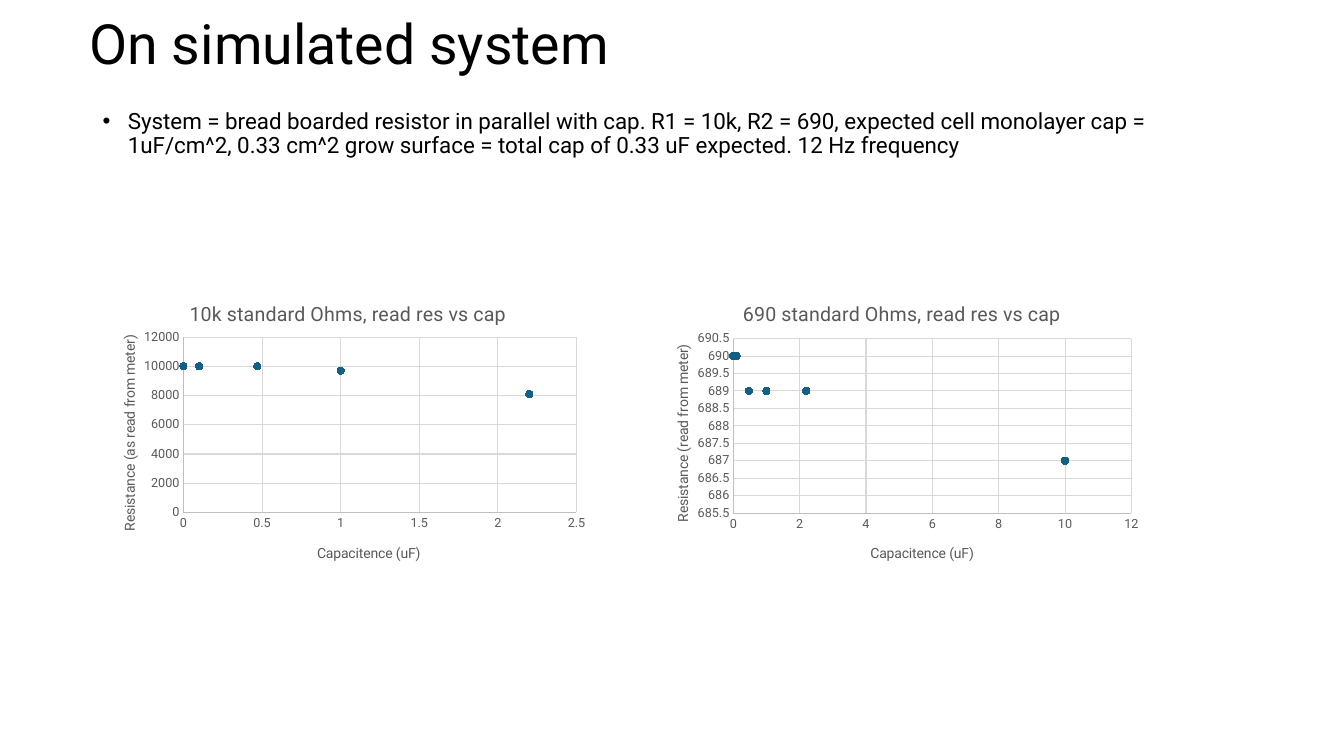
from lxml import etree
from pptx import Presentation
from pptx import util as u
from pptx.chart import data as chart_data
from pptx.dml import color
from pptx.enum import chart as ch, text
from pptx.oxml import ns

Pt = u.Pt
FONT = "Roboto"
BLACK, GRAY, AXIS, GRID, POINT = "000000", "595959", "BFBFBF", "D9D9D9", "156082"


def rgb(value):
    return color.RGBColor.from_string(value)


def style_font(font, size, value):
    font.name, font.size, font.bold = FONT, Pt(size), False
    font.color.rgb = rgb(value)


def style_line(line, value):
    line.width = Pt(0.75)
    line.color.rgb = rgb(value)


def add_text(slide, words, box, size, anchor):
    frame = slide.shapes.add_textbox(*map(Pt, box)).text_frame
    frame.word_wrap = True
    frame.vertical_anchor = anchor
    paragraph = frame.paragraphs[0]
    paragraph.text = words
    paragraph.line_spacing = 0.9
    style_font(paragraph.font, size, BLACK)
    return paragraph


def add_bullet(paragraph):
    paragraph.space_before = Pt(10)
    properties = paragraph._p.get_or_add_pPr()
    properties.set("marL", str(Pt(18)))
    properties.set("indent", str(-Pt(18)))
    bullet_font = etree.Element(ns.qn("a:buFont"), typeface="Arial")
    bullet = etree.Element(ns.qn("a:buChar"), char="•")
    properties.insert_element_before(bullet_font, "a:tabLst", "a:defRPr", "a:extLst")
    bullet_font.addnext(bullet)


def place(element, index, inner=False, **fractions):
    """Fix a chart part at fractions of the chart's size."""
    for old in element.findall(ns.qn("c:layout")):
        element.remove(old)
    layout = etree.Element(ns.qn("c:layout"))
    manual = etree.SubElement(layout, ns.qn("c:manualLayout"))
    settings = {"layoutTarget": "inner"} if inner else {}
    settings |= {"xMode": "edge", "yMode": "edge"} | fractions
    for name, value in settings.items():
        etree.SubElement(manual, ns.qn(f"c:{name}"), val=str(value))
    element.insert(index, layout)


def set_title(title, words, size, x, y):
    paragraph = title.text_frame.paragraphs[0]
    paragraph.text = words
    style_font(paragraph.font, size, GRAY)
    place(title._element, 1, x=x, y=y)


def style_axis(axis, limits, step):
    axis.minimum_scale, axis.maximum_scale = limits
    axis.major_unit = step
    axis.major_tick_mark = axis.minor_tick_mark = ch.XL_TICK_MARK.NONE
    axis.has_major_gridlines = True
    style_line(axis.major_gridlines.format.line, GRID)
    style_line(axis.format.line, AXIS)
    style_font(axis.tick_labels.font, 9, GRAY)


def add_scatter(slide, left, title, y_title, points, x_scale, y_scale, plot, y_title_top):
    readings = chart_data.XyChartData()
    series_data = readings.add_series("Series 1")
    for capacitance, resistance in points:
        series_data.add_data_point(capacitance, resistance)
    chart = slide.shapes.add_chart(
        ch.XL_CHART_TYPE.XY_SCATTER, Pt(left), Pt(198.72), Pt(360), Pt(216), readings
    ).chart
    chart.has_legend = False
    style_font(chart.font, 10, BLACK)
    set_title(chart.chart_title, title, 14, 0.185, 0.06)
    chart.chart_title.include_in_layout = False

    style_axis(chart.category_axis, *x_scale)
    style_axis(chart.value_axis, *y_scale)
    set_title(chart.category_axis.axis_title, "Capacitence (uF)", 10, 0.44, 0.87)
    set_title(chart.value_axis.axis_title, y_title, 10, 0.05, y_title_top)

    scatter = chart.plots[0]
    scatter.vary_by_categories = False
    series = scatter.series[0]
    series.format.line.fill.background()
    series.marker.style = ch.XL_MARKER_STYLE.CIRCLE
    series.marker.size = 5
    series.marker.format.fill.solid()
    series.marker.format.fill.fore_color.rgb = rgb(POINT)
    series.marker.format.line.color.rgb = rgb(POINT)
    plot_area = chart._chartSpace.chart.plotArea
    place(plot_area, 0, inner=True, **plot)


def main():
    deck = Presentation()
    deck.slide_width, deck.slide_height = Pt(960), Pt(540)
    slide = deck.slides.add_slide(deck.slide_layouts[6])

    add_text(slide, "On simulated system", (56.88, 13.68, 828, 39.6), 39.6,
             text.MSO_ANCHOR.MIDDLE)
    setup = add_text(
        slide,
        "System = bread boarded resistor in parallel with cap. R1 = 10k, R2 = 690, "
        "expected cell monolayer cap = 1uF/cm^2, 0.33 cm^2 grow surface = "
        "total cap of 0.33 uF expected. 12 Hz frequency",
        (66.24, 74.88, 828, 48.96), 16, text.MSO_ANCHOR.TOP)
    add_bullet(setup)

    add_scatter(
        slide, 66.24, "10k standard Ohms, read res vs cap",
        "Resistance (as read from meter)",
        [(0, 10000), (0.1, 10000), (0.47, 10000), (1, 9700), (2.2, 8100)],
        ((0, 2.5), 0.5), ((0, 12000), 2000),
        dict(x=0.18, y=0.195, w=0.78, h=0.58), 0.18)
    add_scatter(
        slide, 461.52, "690 standard Ohms, read res vs cap",
        "Resistance (read from meter)",
        [(0, 690), (0.1, 690), (0.47, 689), (1, 689), (2.2, 689), (10, 687)],
        ((0, 12), 2), ((685.5, 690.5), 0.5),
        dict(x=0.173, y=0.2, w=0.79, h=0.577), 0.21)

    deck.save("out.pptx")


if __name__ == "__main__":
    main()
